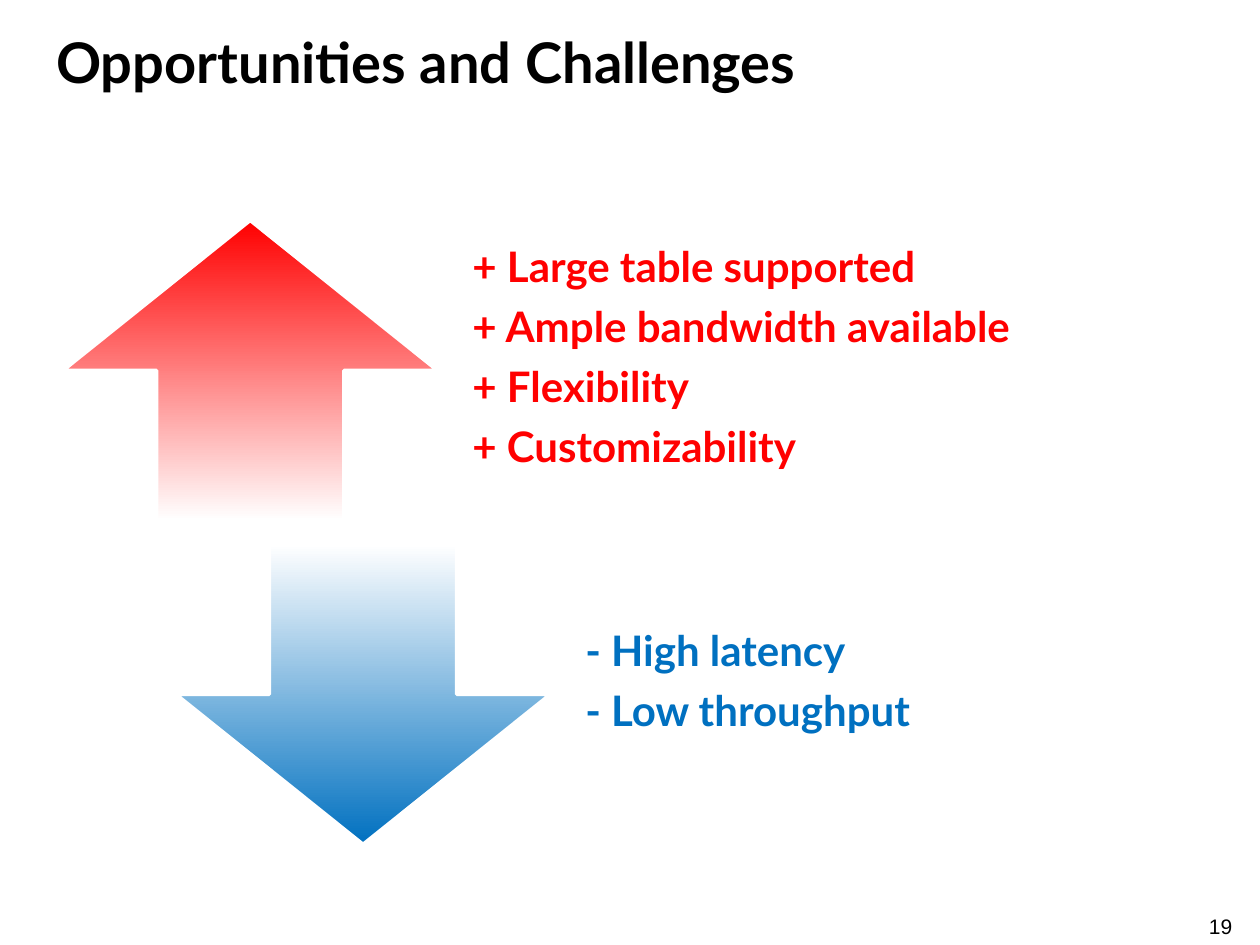
from dataclasses import dataclass

import pptx
import pptx.dml.color
import pptx.enum.shapes
import pptx.enum.text
import pptx.util

Pt = pptx.util.Pt
RGBColor = pptx.dml.color.RGBColor
Shape = pptx.enum.shapes.MSO_SHAPE
Align = pptx.enum.text.PP_ALIGN
Anchor = pptx.enum.text.MSO_ANCHOR


@dataclass(frozen=True)
class Theme:
    black: RGBColor = RGBColor(0, 0, 0)
    white: RGBColor = RGBColor(255, 255, 255)
    opportunity: RGBColor = RGBColor(255, 0, 0)
    challenge: RGBColor = RGBColor(0, 112, 192)
    font: str = "Lato"
    number_font: str = "Arial"
    title_size: int = 32
    body_size: int = 24
    number_size: int = 12


THEME = Theme()
ARROW_WIDTH, ARROW_HEIGHT = 214, 171.5


def add_text(shapes, box, lines, *, size, color=THEME.black, font=THEME.font,
             bold=True, align=Align.LEFT, anchor=Anchor.MIDDLE,
             insets=(7.2, 3.6, 7.2, 3.6), line_spacing=1.0, space_after=0):
    """Add one paragraph per line; box and insets are in points."""
    shape = shapes.add_textbox(*map(Pt, box))
    frame = shape.text_frame
    frame.word_wrap = True
    frame.vertical_anchor = anchor
    (frame.margin_left, frame.margin_top,
     frame.margin_right, frame.margin_bottom) = map(Pt, insets)
    for index, line in enumerate(lines):
        paragraph = frame.add_paragraph() if index else frame.paragraphs[0]
        paragraph.alignment = align
        paragraph.line_spacing = line_spacing
        paragraph.space_after = Pt(space_after)
        run = paragraph.add_run()
        run.text = line
        run.font.name = font
        run.font.size = Pt(size)
        run.font.bold = bold
        run.font.color.rgb = color


def add_arrow(shapes, kind, left, top, top_color, bottom_color):
    """Add a block arrow with a vertical gradient."""
    arrow = shapes.add_shape(kind, Pt(left), Pt(top), Pt(ARROW_WIDTH), Pt(ARROW_HEIGHT))
    arrow.shadow.inherit = False
    arrow.fill.gradient()
    arrow.fill.gradient_angle = 270  # counter-clockwise: runs top to bottom
    for stop, color in zip(arrow.fill.gradient_stops, (top_color, bottom_color)):
        stop.color.rgb = color
    arrow.line.color.rgb = THEME.white
    arrow.line.width = Pt(2)


def add_argument(slide, kind, left, top, text_width, gradient, color, lines):
    """Add a group of an arrow and the points to its right."""
    shapes = slide.shapes.add_group_shape().shapes
    add_arrow(shapes, kind, left, top, *gradient)
    text_left = left + ARROW_WIDTH + 6.5
    add_text(shapes, (text_left, top, text_width, ARROW_HEIGHT), lines,
             size=THEME.body_size, color=color, insets=(13.5, 0, 13.5, 13.5),
             line_spacing=0.9, space_after=0.35 * THEME.body_size)


def main():
    presentation = pptx.Presentation()
    presentation.slide_width, presentation.slide_height = Pt(720), Pt(540)
    slide = presentation.slides.add_slide(presentation.slide_layouts[6])

    add_text(slide.shapes, (679.5, 522, 36, 14.5), ["19"], size=THEME.number_size,
             font=THEME.number_font, bold=False, align=Align.CENTER,
             anchor=Anchor.TOP, insets=(0, 0, 0, 0))
    add_text(slide.shapes, (25, 5, 670, 60), ["Opportunities and Challenges"],
             size=THEME.title_size)
    add_argument(slide, Shape.UP_ARROW, 36, 126, 417.5,
                 (THEME.opportunity, THEME.white), THEME.opportunity,
                 ["+ Large table supported", "+ Ample bandwidth available",
                  "+ Flexibility", "+ Customizability"])
    add_argument(slide, Shape.DOWN_ARROW, 100.5, 311, 363,
                 (THEME.white, THEME.challenge), THEME.challenge,
                 ["- High latency", "- Low throughput"])

    presentation.save("out.pptx")


if __name__ == "__main__":
    main()
